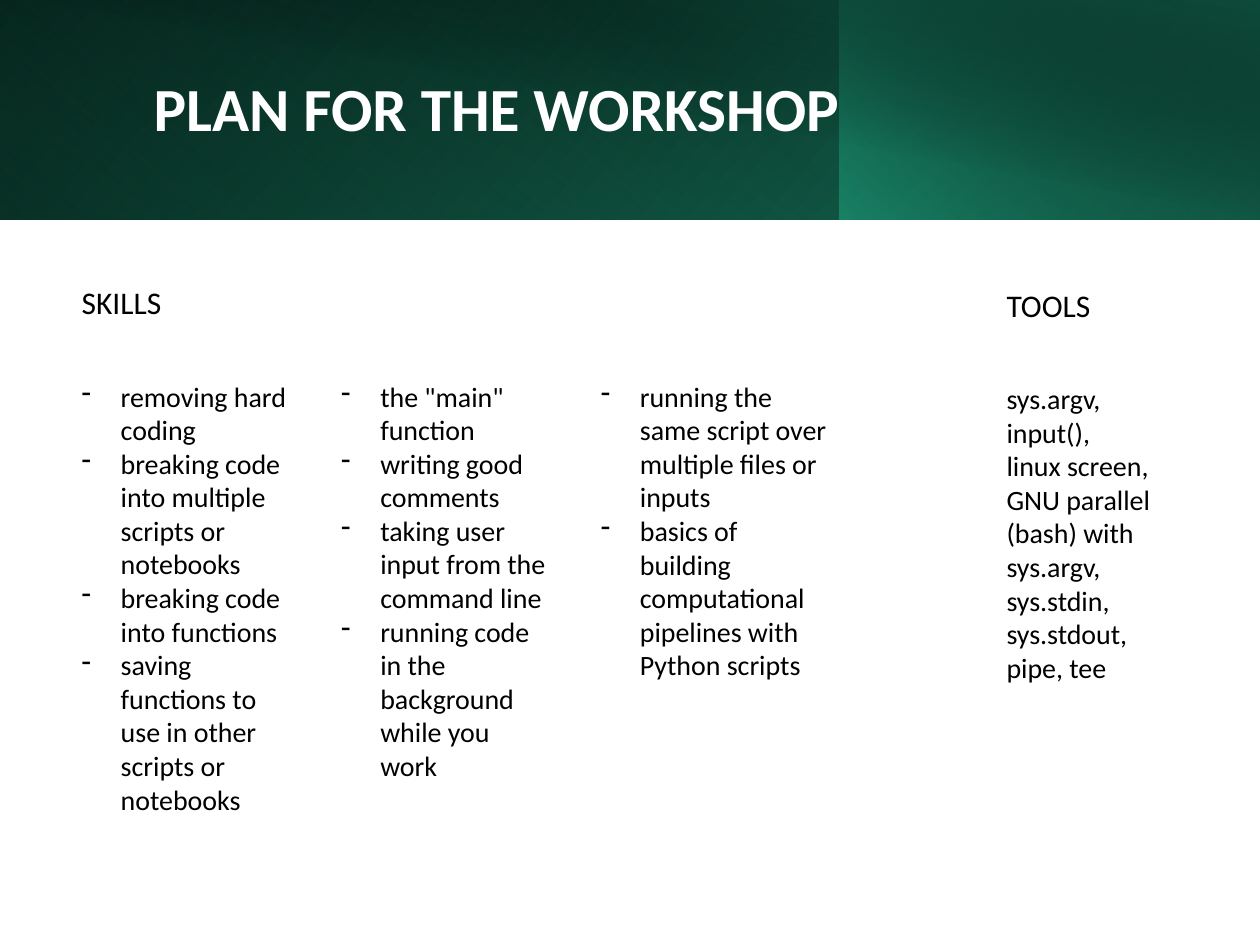
from lxml.etree import SubElement
from pptx import Presentation
from pptx.dml.color import RGBColor
from pptx.enum.shapes import MSO_SHAPE
from pptx.enum.text import MSO_ANCHOR, MSO_AUTO_SIZE
from pptx.oxml.ns import qn
from pptx.util import Inches, Pt

WIDE, HIGH = 10, 7.5
FONT = "Calibri"
BLACK = RGBColor(0x00, 0x00, 0x00)
WHITE = RGBColor(0xFF, 0xFF, 0xFF)
GREEN = RGBColor(0x16, 0x74, 0x5A)
MINT = RGBColor(0x1D, 0x9A, 0x78)
PINE = RGBColor(0x0E, 0x4D, 0x3C)

# Grid: left edge, step between skill columns, split of the header band
LEFT, STEP, SPLIT = 0.55, 2.06, 6.66
BAND = 1.74
HEAD, BODY = 2.2, 2.96
TOOL, DROP = 7.89, 0.02
DENT = 0.31

# Each skill column: width, height, items
SKILLS = [
    (1.82, 3.87, ["removing hard coding",
                  "breaking code into multiple scripts or notebooks",
                  "breaking code into functions",
                  "saving functions to use in other scripts or notebooks"]),
    (1.82, 3.6, ['the "main" function',
                 "writing good comments",
                 "taking user input from the command line",
                 "running code in the background while you work"]),
    (1.99, 2.79, ["running the same script over multiple files or inputs",
                  "basics of building computational pipelines with Python scripts"]),
]
TOOLS = ["sys.argv, input(),", "linux screen,",
         "GNU parallel (bash) with sys.argv,",
         "sys.stdin, sys.stdout, pipe, tee"]


def add_band(slide, box, stops, angle, flip=True, turn=0):
    """Add a gradient rectangle; stops are (place, colour, opacity) in percent."""
    band = slide.shapes.add_shape(MSO_SHAPE.RECTANGLE, *map(Inches, box))
    band.shadow.inherit = False
    band.line.fill.background()
    band.rotation = turn
    props = band._element.spPr
    if flip:
        props.xfrm.set("flipH", "1")
    band.fill.gradient()
    band.fill.gradient_angle = 360 - angle
    ramp = props.find(qn("a:gradFill")).find(qn("a:gsLst"))
    for stop in list(ramp):
        ramp.remove(stop)
    for place, color, alpha in stops:
        stop = SubElement(ramp, qn("a:gs"), pos=str(place * 1000))
        tint = SubElement(stop, qn("a:srgbClr"), val=str(color))
        if alpha < 100:
            SubElement(tint, qn("a:alpha"), val=str(alpha * 1000))


def add_dash(para):
    """Give a paragraph a hanging dash."""
    props = para._p.get_or_add_pPr()
    props.set("marL", str(Inches(DENT)))
    props.set("indent", str(-Inches(DENT)))
    SubElement(props, qn("a:buFontTx"))
    SubElement(props, qn("a:buChar"), char="-")


def add_text(slide, box, lines, size=16, color=BLACK, bold=False, dash=False,
             wrap=True, grow=True, anchor=MSO_ANCHOR.TOP, space=None):
    frame = slide.shapes.add_textbox(*map(Inches, box)).text_frame
    frame.word_wrap = wrap
    frame.auto_size = MSO_AUTO_SIZE.SHAPE_TO_FIT_TEXT if grow else MSO_AUTO_SIZE.NONE
    frame.vertical_anchor = anchor
    for i, line in enumerate(lines):
        para = frame.paragraphs[0] if i == 0 else frame.add_paragraph()
        if space:
            para.line_spacing = space
        if dash:
            add_dash(para)
        run = para.add_run()
        run.text = line
        font = run.font
        font.name, font.size, font.bold = FONT, Pt(size), bold
        font.color.rgb = color


def add_header(slide):
    # Layered gradients
    add_band(slide, (0, 0, WIDE, BAND), [(0, BLACK, 100), (100, GREEN, 100)], 140)
    add_band(slide, (0, 0, SPLIT, BAND), [(20, MINT, 0), (100, PINE, 55)], 230, turn=180)
    add_band(slide, (SPLIT, 0, WIDE - SPLIT, BAND),
             [(0, MINT, 66), (100, BLACK, 30)], 220)
    add_band(slide, (0.38, 0, WIDE - 0.38, BAND + 0.01),
             [(50, BLACK, 0), (99, PINE, 52)], 280, flip=False)
    # Title
    add_text(slide, (1.12, 0.32, 8.12, 1.13), ["PLAN FOR THE WORKSHOP"], size=35,
             color=WHITE, bold=True, grow=False, anchor=MSO_ANCHOR.MIDDLE, space=0.9)


def main():
    deck = Presentation()
    deck.slide_width, deck.slide_height = Inches(WIDE), Inches(HIGH)
    slide = deck.slides.add_slide(deck.slide_layouts[6])
    add_header(slide)

    # Skills
    add_text(slide, (LEFT, HEAD, 0.84, 0.4), ["SKILLS"], size=18, wrap=False)
    for col, (width, height, items) in enumerate(SKILLS):
        add_text(slide, (LEFT + col * STEP, BODY, width, height), items, dash=True)

    # Tools
    add_text(slide, (TOOL, HEAD + DROP, 0.87, 0.4), ["TOOLS"], size=18, wrap=False)
    add_text(slide, (TOOL, BODY + DROP, 1.53, 2.52), TOOLS)
    deck.save("out.pptx")


main()
